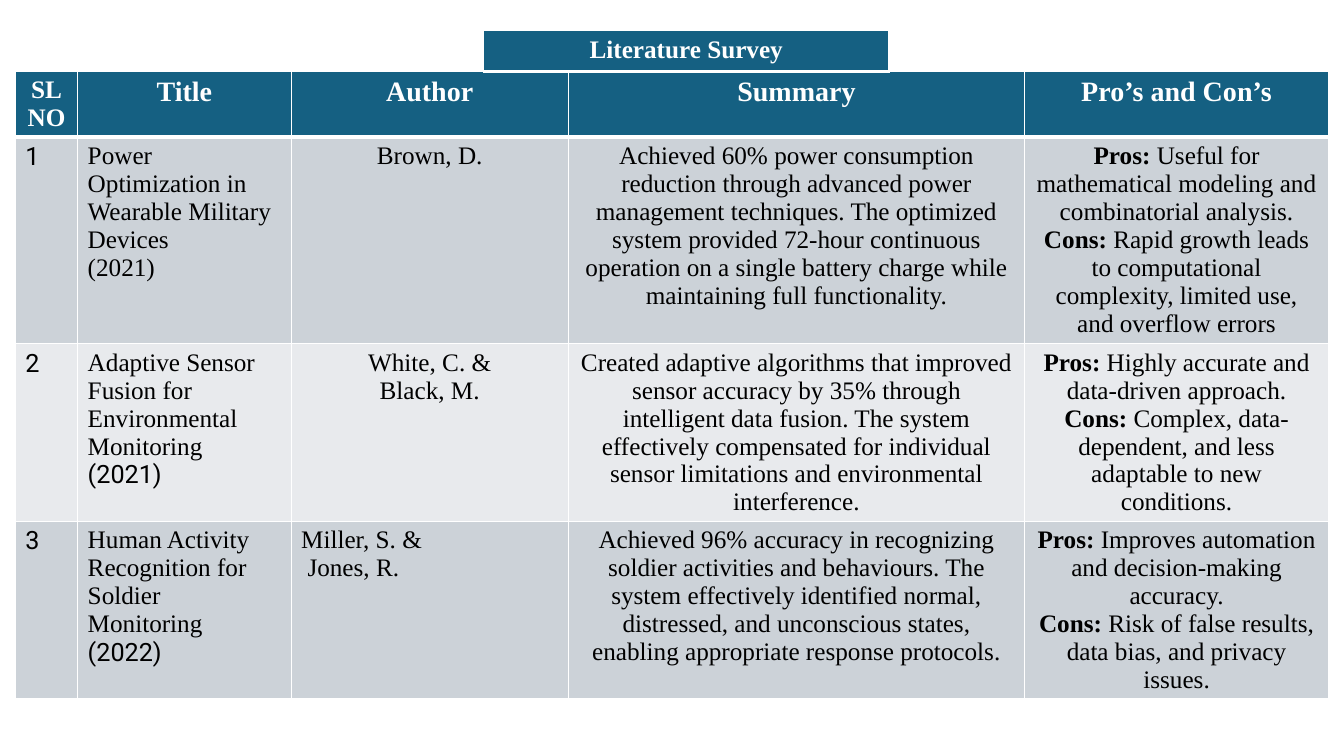
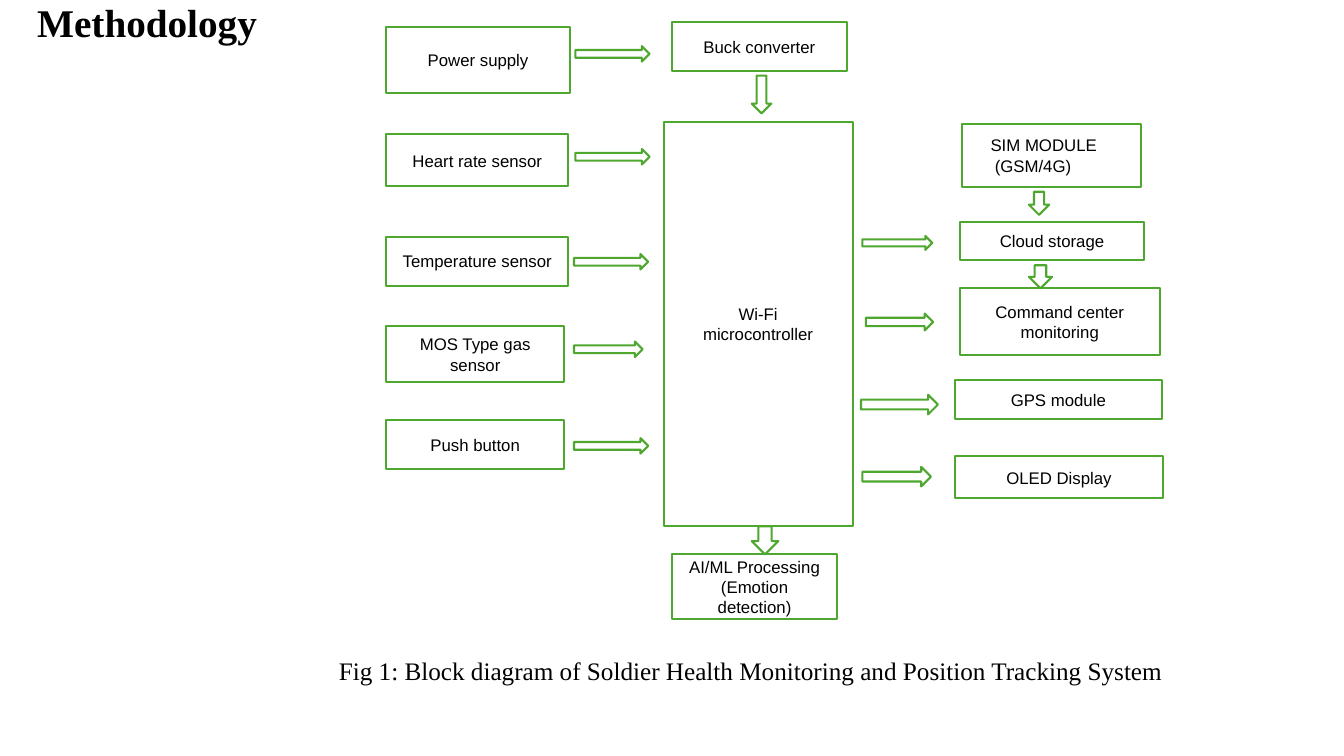
"""Builds a literature survey table and a block diagram of the methodology."""
from lxml.etree import SubElement
from pptx import Presentation
from pptx.dml.color import RGBColor
from pptx.enum.shapes import MSO_SHAPE as SHAPE
from pptx.enum.text import MSO_ANCHOR as ANCHOR, PP_ALIGN as ALIGN
from pptx.oxml.ns import qn
from pptx.util import Pt

SERIF, SANS, DIGITS = "Times New Roman", "Arial", "Roboto"
TEAL, GREEN, WHITE, BLACK = "156082", "4EA72E", "FFFFFF", "000000"
BANDS = ["CCD2D8", "E8EAED"]


def rgb(code):
    return RGBColor.from_string(code)


def write(frame, lines, size, face=SERIF, align=ALIGN.CENTER, color=BLACK, bold=False):
    for index, line in enumerate(lines):
        paragraph = frame.add_paragraph() if index else frame.paragraphs[0]
        for part in line.split("|"):
            run = paragraph.add_run()
            run.text = part
            if part in ("Pros:", "Cons:"):
                run.font.bold = True
        paragraph.alignment = align
        font = paragraph.font
        font.name, font.size, font.bold = face, Pt(size), bold
        font.color.rgb = rgb(color)


deck = Presentation()
deck.slide_width, deck.slide_height = Pt(960), Pt(540)
blank = deck.slide_layouts[6]

survey = deck.slides.add_slide(blank)
headings = [["SL", "NO"], ["Title"], ["Author"], ["Summary"], ["Pro’s and Con’s"]]
papers = [
    [["1"],
     ["Power Optimization in Wearable Military Devices", "(2021)"],
     ["Brown, D."],
     ["Achieved 60% power consumption reduction through advanced power management "
      "techniques. The optimized system provided 72-hour continuous operation on a "
      "single battery charge while maintaining full functionality."],
     ["Pros:| Useful for mathematical modeling and combinatorial analysis.",
      "Cons:| Rapid growth leads to computational complexity, limited use, "
      "and overflow errors"]],
    [["2"],
     ["Adaptive Sensor Fusion for Environmental Monitoring", "(2021)"],
     ["White, C. &", "Black, M."],
     ["Created adaptive algorithms that improved sensor accuracy by 35% through "
      "intelligent data fusion. The system effectively compensated for individual "
      "sensor limitations and environmental interference."],
     ["Pros:| Highly accurate and data-driven approach.",
      "Cons:| Complex, data-dependent, and less adaptable to new conditions."]],
    [["3"],
     ["Human Activity Recognition for Soldier Monitoring", "(2022)"],
     ["Miller, S. &", "Jones, R."],
     ["Achieved 96% accuracy in recognizing soldier activities and behaviours. The "
      "system effectively identified normal, distressed, and unconscious states, "
      "enabling appropriate response protocols."],
     ["Pros:| Improves automation and decision-making accuracy.",
      "Cons:| Risk of false results, data bias, and privacy issues."]],
]
widths = [44.5, 152.5, 198, 326, 217]
heights = [46.5, 147.5, 126.5, 127]
papers_table = survey.shapes.add_table(
    4, 5, Pt(11), Pt(51), Pt(sum(widths)), Pt(sum(heights))).table
for column, width in zip(papers_table.columns, widths):
    column.width = Pt(width)
for row, height in zip(papers_table.rows, heights):
    row.height = Pt(height)
banner = survey.shapes.add_table(1, 1, Pt(345.5), Pt(22), Pt(289.5), Pt(29)).table

for table in (papers_table, banner):
    for index, row in enumerate(table.rows):
        for cell in row.cells:
            for side in "LRTB":
                weight = 3 if (index, side) == (0, "B") or (index, side) == (1, "T") else 1
                border = SubElement(cell._tc.get_or_add_tcPr(), qn(f"a:ln{side}"), w=str(Pt(weight)))
                SubElement(SubElement(border, qn("a:solidFill")), qn("a:srgbClr"), val=WHITE)
            cell.fill.solid()
            cell.fill.fore_color.rgb = rgb(BANDS[(index - 1) % 2] if index else TEAL)

write(banner.cell(0, 0).text_frame, ["Literature Survey"], 18, color=WHITE, bold=True)
for column, heading in enumerate(headings):
    write(papers_table.cell(0, column).text_frame, heading, 20 if column else 18,
          color=WHITE, bold=True)
for number, paper in enumerate(papers, 1):
    for column, lines in enumerate(paper):
        write(papers_table.cell(number, column).text_frame, lines, 18,
              SERIF if column else DIGITS, ALIGN.LEFT if column < 2 else ALIGN.CENTER)
    if number > 1:
        year = papers_table.cell(number, 1).text_frame.paragraphs[-1]
        year.font.name = DIGITS
miller, jones = papers_table.cell(3, 2).text_frame.paragraphs
miller.alignment = jones.alignment = ALIGN.LEFT
jones._p.get_or_add_pPr().set("marL", str(Pt(4.5)))

method = deck.slides.add_slide(blank)
heading = method.shapes.add_textbox(Pt(19.5), Pt(0), Pt(828), Pt(35)).text_frame
heading.word_wrap = True
heading.vertical_anchor = ANCHOR.MIDDLE
write(heading, ["Methodology"], 28, align=ALIGN.LEFT, bold=True)
heading.paragraphs[0].line_spacing = 0.9

PROCESS, RIGHT, DOWN = SHAPE.FLOWCHART_PROCESS, SHAPE.RIGHT_ARROW, SHAPE.DOWN_ARROW
diagram = [
    (PROCESS, 474, 87, 135, 289, ["Wi-Fi", "microcontroller"]),
    (PROCESS, 276, 19.5, 131, 47, ["Power supply"]),
    (PROCESS, 276, 96, 130, 37, ["Heart rate sensor"]),
    (PROCESS, 276, 169, 130, 35, ["Temperature sensor"]),
    (SHAPE.RECTANGLE, 276, 233, 127, 40, ["MOS Type gas sensor"]),
    (PROCESS, 276, 300, 127, 35, ["Push button"]),
    (PROCESS, 480, 16, 125, 35, ["Buck converter"]),
    (PROCESS, 480, 396, 118, 46, ["AI/ML Processing", "(Emotion detection)"]),
    (PROCESS, 687, 88.5, 128, 45, ["SIM MODULE", "(GSM/4G)"]),
    (PROCESS, 686, 158.5, 131, 27.5, ["Cloud storage"]),
    (PROCESS, 685.5, 206, 143, 47.5, ["Command center monitoring"]),
    (PROCESS, 682, 271.5, 148, 27.5, ["GPS module"]),
    (PROCESS, 682, 326, 149, 30, ["OLED Display"]),
    (RIGHT, 411, 33, 53, 11, []),
    (RIGHT, 411, 106.5, 53, 11, []),
    (RIGHT, 410, 181.5, 53, 11, []),
    (RIGHT, 410, 244, 49, 11, []),
    (RIGHT, 410, 313, 53, 11, []),
    (RIGHT, 616, 168.5, 50, 10, []),
    (RIGHT, 618.5, 224, 48, 12, []),
    (RIGHT, 615, 282, 55, 14, []),
    (RIGHT, 616, 333.5, 49, 14, []),
    (DOWN, 537, 54, 14, 27, []),
    (DOWN, 537, 376, 19, 20, []),
    (DOWN, 735, 137, 14.5, 16.5, []),
    (DOWN, 735, 189.5, 16.5, 16.5, []),
]
for kind, left, top, width, height, lines in diagram:
    block = method.shapes.add_shape(kind, Pt(left), Pt(top), Pt(width), Pt(height))
    block.shadow.inherit = False
    block.fill.solid()
    block.fill.fore_color.rgb = rgb(WHITE)
    block.line.color.rgb = rgb(GREEN)
    block.line.width = Pt(1.5)
    write(block.text_frame, lines, 12, SANS)
    if "SIM MODULE" in lines:
        for paragraph, indent in zip(block.text_frame.paragraphs, (13.5, 16.5)):
            paragraph.alignment = ALIGN.LEFT
            paragraph._p.get_or_add_pPr().set("marL", str(Pt(indent)))

caption = method.shapes.add_textbox(Pt(168), Pt(464.5), Pt(736.5), Pt(29)).text_frame
caption.word_wrap = True
write(caption, ["Fig 1: Block diagram of Soldier Health Monitoring and Position Tracking System"], 18)

deck.save("out.pptx")
